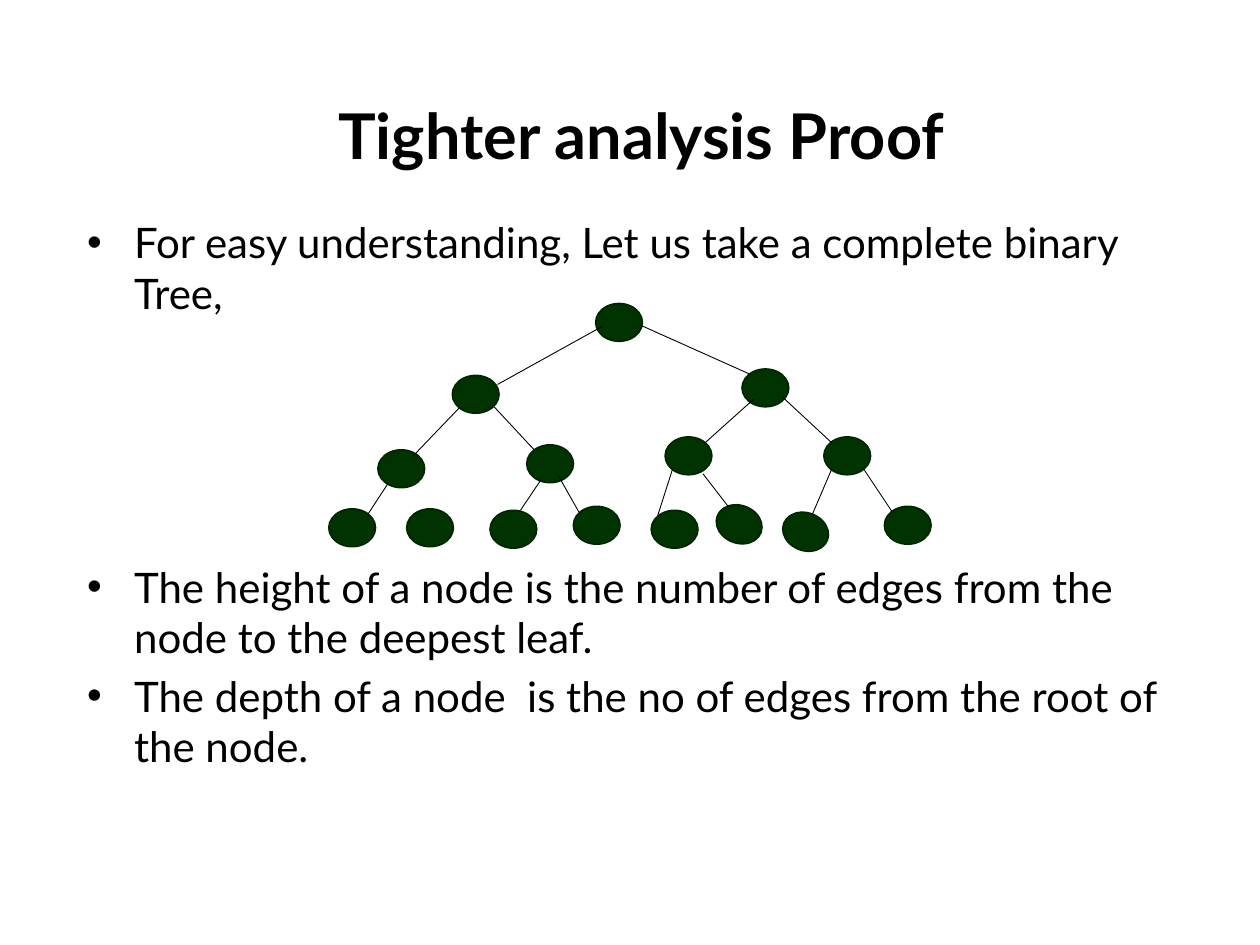
from lxml import etree
from pptx import Presentation
from pptx import util as u
from pptx.dml.color import RGBColor
from pptx.enum import shapes, text
from pptx.oxml.ns import qn

# Content
TITLE = "Tighter analysis Proof"
# (text, space before in points); the second item leaves room for the tree
BULLETS = [
    ("For easy understanding, Let us take a complete binary Tree,", 0),
    ("The height of a node is the number of edges from the node to the deepest leaf.", 139.2),
    ("The depth of a node  is the no of edges from the root of the node.", 4.8),
]

# Tree nodes by level: left, top in cm, rotation in degrees
LEVELS = [
    [(12.01, 6.12, 0)],
    [(9.12, 7.57, 0), (14.96, 7.44, 0)],
    [(7.62, 9.07, 0), (10.62, 8.97, 0), (13.41, 8.81, 0), (16.61, 8.81, 0)],
    [(6.63, 10.26, 0), (8.2, 10.26, 0), (9.88, 10.29, 0), (11.56, 10.21, 0),
     (13.13, 10.29, 0), (14.43, 10.19, 20.7), (15.77, 10.34, 20.7), (17.83, 10.21, 0)],
]

# Tree edges by parent level: parent x, y, child x, y in cm
EDGES = [
    [(12.14, 6.58, 10.03, 7.75), (12.9, 6.55, 15.11, 7.54)],
    [(9.25, 8.23, 8.33, 9.19), (9.96, 8.2, 10.77, 9.07),
     (15.19, 8.05, 14.22, 8.92), (15.77, 8, 16.76, 8.92)],
    [(7.82, 9.75, 7.42, 10.36),
     (10.9, 9.68, 10.49, 10.29), (11.25, 9.58, 11.68, 10.34),
     (13.56, 9.45, 13.26, 10.39), (14.17, 9.55, 14.68, 10.21),
     (16.76, 9.47, 16.38, 10.36), (17.42, 9.47, 17.98, 10.31)],
]
NODE_SIZE = (0.94, 0.76)


class Theme:
    font = "Lato"
    title_size, body_size = u.Pt(36), u.Pt(24)
    ink = RGBColor(0, 0, 0)
    node = RGBColor(0x00, 0x33, 0x00)
    node_line = RGBColor(0x00, 0x26, 0x00)
    node_width, edge_width = u.Pt(1), u.Pt(0.5)


def place(sp, *box):
    sp.left, sp.top, sp.width, sp.height = map(u.Cm, box)


def style(p, size, bold=False):
    for r in p.runs:
        r.font.name, r.font.size, r.font.bold = Theme.font, size, bold
        r.font.color.rgb = Theme.ink


def add_bullet(p):
    pPr = p._p.get_or_add_pPr()
    pPr.set("marL", str(u.Cm(0.95)))
    pPr.set("indent", str(-u.Cm(0.95)))
    etree.SubElement(pPr, qn("a:buFont")).set("typeface", "Arial")
    etree.SubElement(pPr, qn("a:buChar")).set("char", "•")


def add_node(group, left, top, rotation):
    sp = group.shapes.add_shape(shapes.MSO_SHAPE.OVAL, *map(u.Cm, (left, top, *NODE_SIZE)))
    sp.rotation = rotation
    sp.shadow.inherit = False
    sp.fill.solid()
    sp.fill.fore_color.rgb = Theme.node
    sp.line.color.rgb = Theme.node_line
    sp.line.width = Theme.node_width


def add_edge(group, *ends):
    line = group.shapes.add_connector(shapes.MSO_CONNECTOR.STRAIGHT, *map(u.Cm, ends))
    line.line.color.rgb = Theme.ink
    line.line.width = Theme.edge_width
    etree.SubElement(line._element.spPr, qn("a:effectLst"))


def main():
    prs = Presentation()
    prs.slide_width, prs.slide_height = u.Cm(25.4), u.Cm(19.05)
    slide = prs.slides.add_slide(prs.slide_layouts[1])

    # Title
    title = slide.shapes.title
    place(title, 1.5, 1.12, 22.86, 3.18)
    tf = title.text_frame
    tf.text = TITLE
    tf.auto_size = text.MSO_AUTO_SIZE.NONE
    tf.vertical_anchor = text.MSO_ANCHOR.MIDDLE
    tf.paragraphs[0].alignment = text.PP_ALIGN.CENTER
    style(tf.paragraphs[0], Theme.title_size, bold=True)

    # Bullet list
    body = slide.placeholders[1]
    place(body, 1.5, 4.24, 22.86, 12.4)
    tf = body.text_frame
    tf.text = "\n".join(line for line, _ in BULLETS)
    tf.auto_size = text.MSO_AUTO_SIZE.NONE
    for p, (_, gap) in zip(tf.paragraphs, BULLETS):
        add_bullet(p)
        p.space_before = u.Pt(gap)
        style(p, Theme.body_size)

    # Binary tree
    tree = slide.shapes.add_group_shape()
    for level in LEVELS:
        for node in level:
            add_node(tree, *node)
    for level in EDGES:
        for edge in level:
            add_edge(tree, *edge)

    prs.save("out.pptx")


if __name__ == "__main__":
    main()
